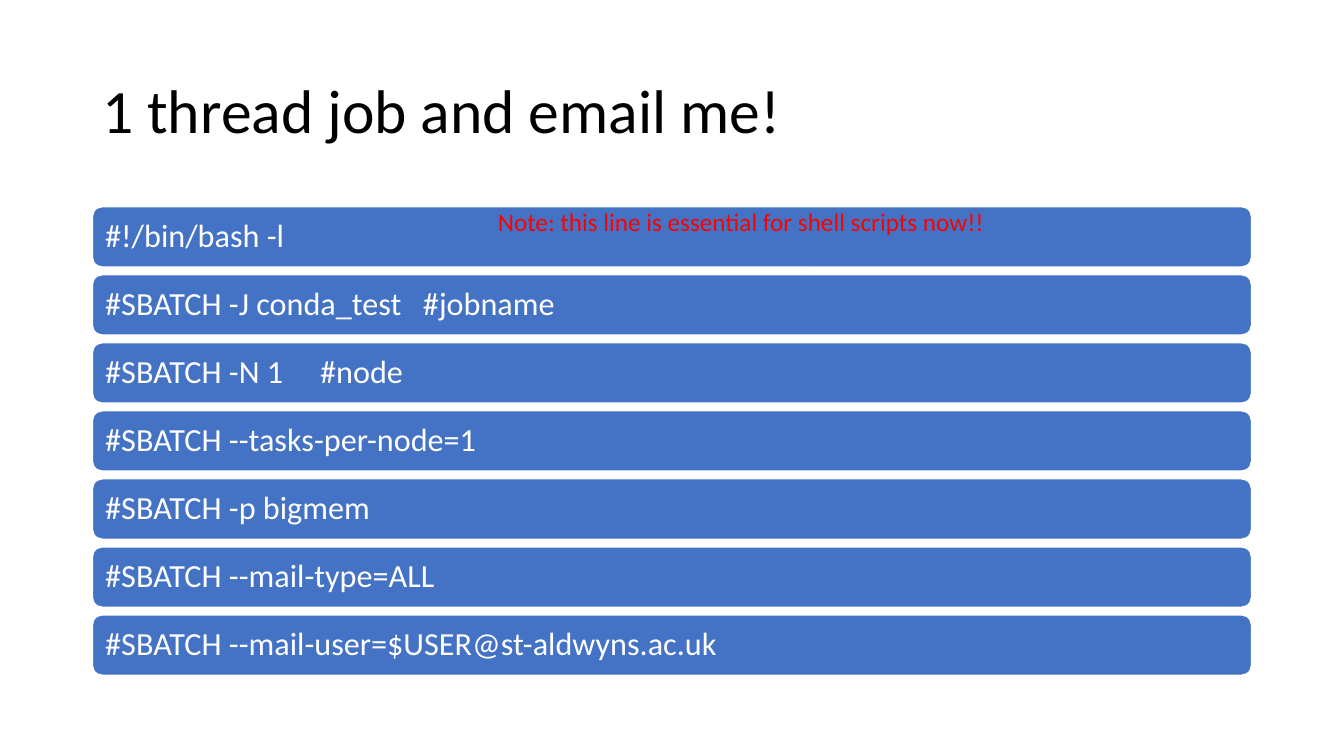
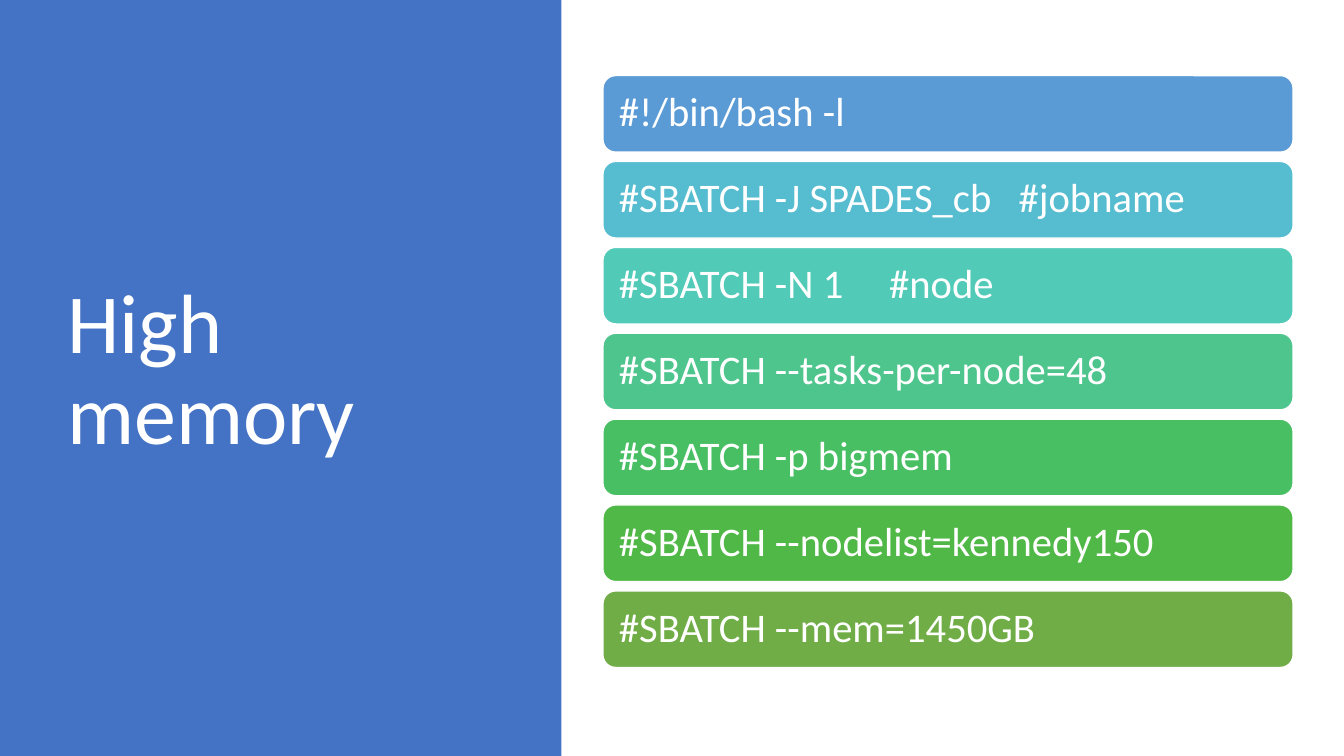
"""Build two slides listing the header lines of batch job scripts."""
from lxml import etree
from pptx import Presentation
from pptx.dml.color import RGBColor
from pptx.enum import shapes, text
from pptx.oxml import ns
from pptx.util import Pt

FONT = "Calibri"
C = {
    "white": "FFFFFF", "black": "000000", "red": "FF0000", "blue": "4472C4",
    "sky": "5B9BD5", "cyan": "56BCD0", "teal": "52CAB8", "mint": "4DC58D",
    "emerald": "49BF64", "green": "50B846", "olive": "70AD47",
}


def add_text(sp, words, size, color, inset=7.2, spacing=0.9, tab=None,
             anchor=text.MSO_ANCHOR.MIDDLE):
    tf = sp.text_frame
    tf.word_wrap = True
    tf.vertical_anchor = anchor
    tf.margin_left = tf.margin_right = Pt(inset)
    tf.margin_top = tf.margin_bottom = Pt(3.6)
    p = tf.paragraphs[0]
    p.alignment = text.PP_ALIGN.LEFT
    p.line_spacing = spacing
    if tab:
        tabs = etree.SubElement(p._p.get_or_add_pPr(), ns.qn("a:tabLst"))
        etree.SubElement(tabs, ns.qn("a:tab"), pos=str(Pt(tab)), algn="l")
    r = p.add_run()
    r.text = words
    r.font.name = FONT
    r.font.size = Pt(size)
    r.font.color.rgb = RGBColor.from_string(C[color])


def add_box(s, kind, box, fill):
    sp = s.shapes.add_shape(kind, *map(Pt, box))
    sp.shadow.inherit = False
    sp.fill.solid()
    sp.fill.fore_color.rgb = RGBColor.from_string(C[fill])
    sp.line.fill.background()
    return sp


prs = Presentation()
prs.slide_width, prs.slide_height = Pt(960), Pt(540)

slides = [
    {
        "title": "1 thread job and email me!", "title_box": (66, 28.8, 828, 104.4),
        "title_size": 44, "title_color": "black", "panel": None,
        "bar": (66, 147.6, 828, 43.2), "pitch": 48.6, "size": 23, "inset": 7.2,
        "fills": ["blue"] * 7, "tabs": {1: 227, 2: 153.5},
        "lines": [
            "#!/bin/bash -l",
            "#SBATCH -J conda_test\t#jobname",
            "#SBATCH -N 1\t#node",
            "#SBATCH --tasks-per-node=1",
            "#SBATCH -p bigmem",
            "#SBATCH --mail-type=ALL",
            "#SBATCH --mail-user=$USER@st-aldwyns.ac.uk",
        ],
    },
    {
        "title": "High memory", "title_box": (41, 49, 299.5, 433.4),
        "title_size": 60, "title_color": "white", "panel": (0, 0, 401, 540),
        "bar": (430.7, 54, 493, 54.7), "pitch": 61.35, "size": 29, "inset": 8.8,
        "fills": ["sky", "cyan", "teal", "mint", "emerald", "green", "olive"],
        "tabs": {1: 285.5, 2: 193},
        "lines": [
            "#!/bin/bash -l",
            "#SBATCH -J SPADES_cb\t#jobname",
            "#SBATCH -N 1\t#node",
            "#SBATCH --tasks-per-node=48",
            "#SBATCH -p bigmem",
            "#SBATCH --nodelist=kennedy150",
            "#SBATCH --mem=1450GB",
        ],
    },
]

for d in slides:
    s = prs.slides.add_slide(prs.slide_layouts[6])
    if d["panel"]:
        add_box(s, shapes.MSO_SHAPE.RECTANGLE, d["panel"], "blue")
    title = s.shapes.add_textbox(*map(Pt, d["title_box"]))
    add_text(title, d["title"], d["title_size"], d["title_color"])

    left, top, width, height = d["bar"]
    for i, (line, fill) in enumerate(zip(d["lines"], d["fills"])):
        box = (left, top + i * d["pitch"], width, height)
        bar = add_box(s, shapes.MSO_SHAPE.ROUNDED_RECTANGLE, box, fill)
        bar.line.color.rgb = RGBColor.from_string(C["white"])
        bar.line.width = Pt(1)
        add_text(bar, line, d["size"], "white", d["inset"], tab=d["tabs"].get(i))

s = prs.slides[0]
arrow = s.shapes.add_connector(shapes.MSO_CONNECTOR.STRAIGHT,
                               Pt(312.5), Pt(160), Pt(265), Pt(160))
arrow.line.color.rgb = RGBColor.from_string(C["blue"])
arrow.line.width = Pt(0.5)
etree.SubElement(arrow.line._get_or_add_ln(), ns.qn("a:tailEnd"), type="triangle")
etree.SubElement(arrow._element.spPr, ns.qn("a:effectLst"))

note = s.shapes.add_textbox(Pt(348.5), Pt(144), Pt(378), Pt(29))
add_text(note, "Note: this line is essential for shell scripts now!!", 18, "red",
         spacing=1.0, anchor=text.MSO_ANCHOR.TOP)

prs.save("out.pptx")
